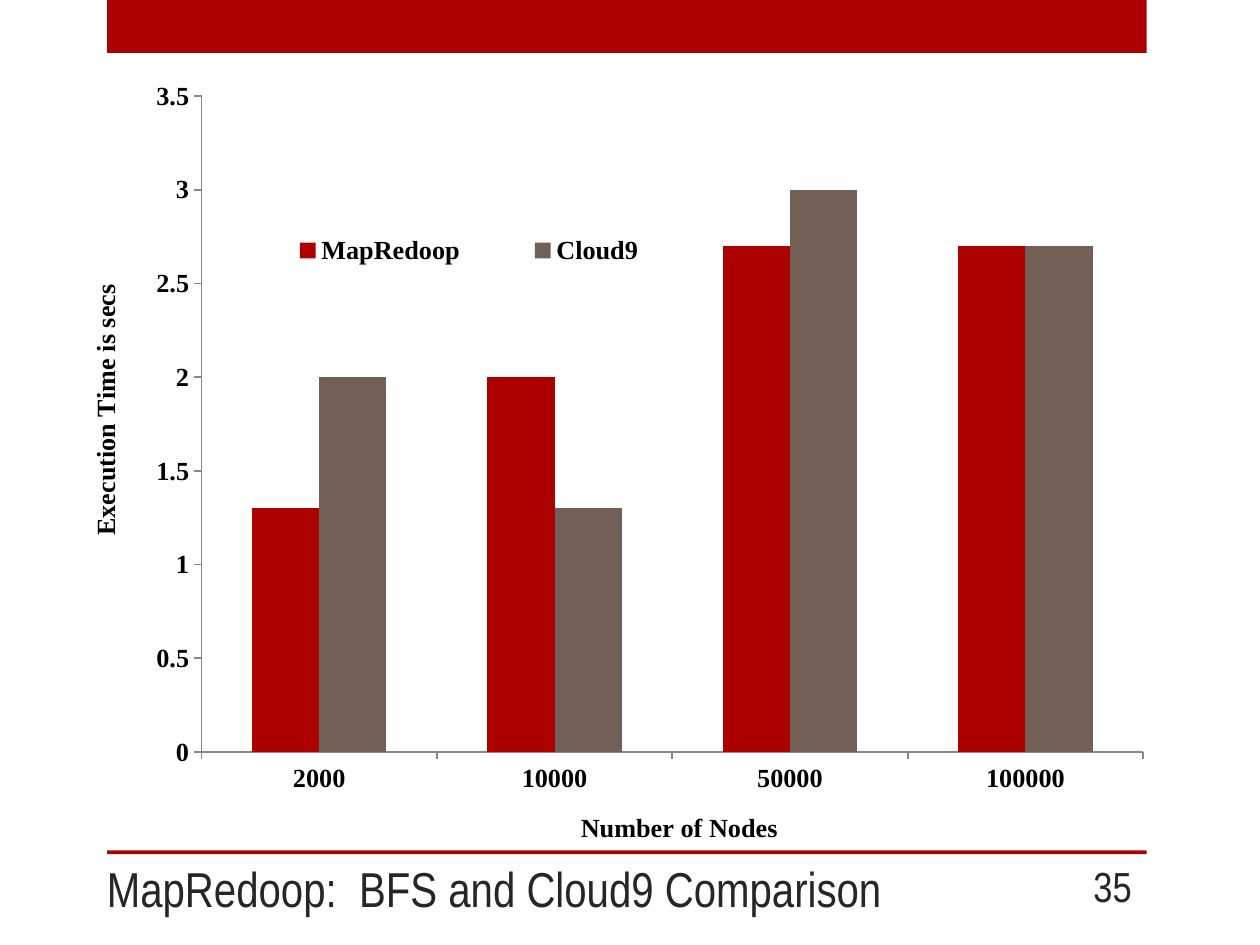
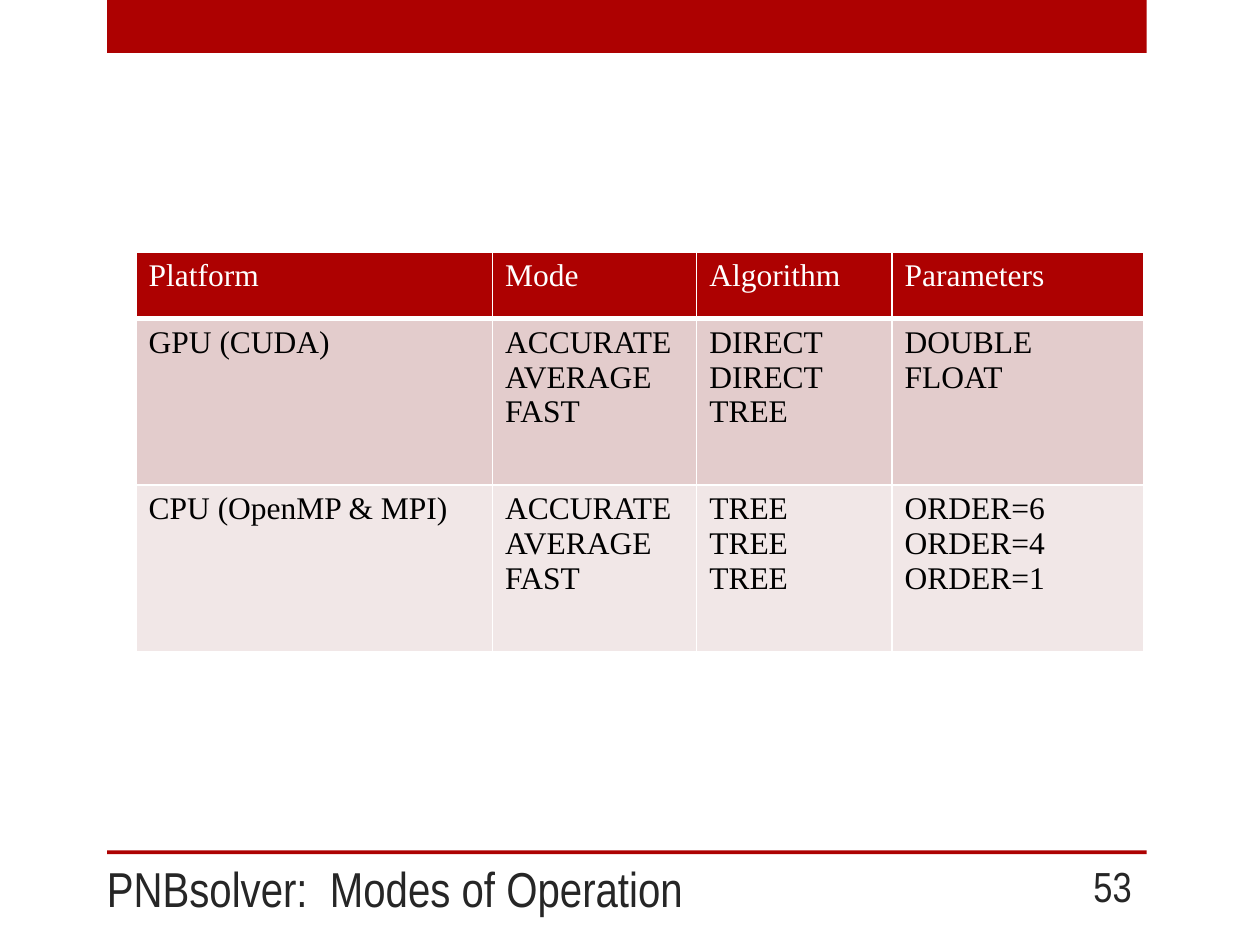
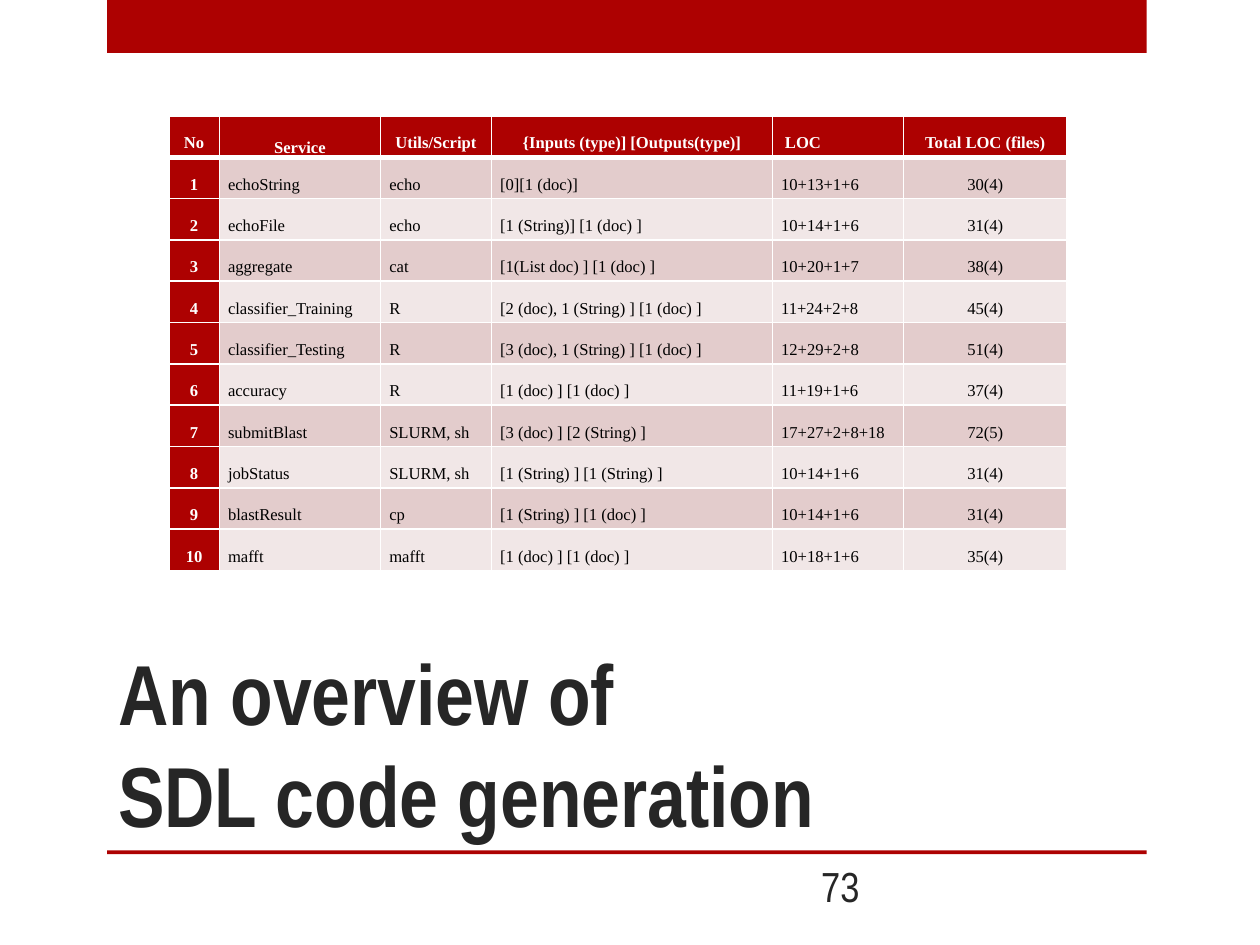
from dataclasses import dataclass
from typing import Any, NamedTuple

from lxml.etree import SubElement
from pptx import Presentation
from pptx.chart.data import CategoryChartData as ChartData
from pptx.dml.color import RGBColor as Rgb
from pptx.enum.chart import XL_CHART_TYPE as Kind
from pptx.enum.chart import XL_LEGEND_POSITION as Spot
from pptx.enum.chart import XL_TICK_MARK as Tick
from pptx.enum.shapes import MSO_SHAPE as Form
from pptx.enum.text import MSO_ANCHOR as Anchor
from pptx.enum.text import PP_ALIGN as Align
from pptx.oxml import parse_xml
from pptx.oxml.ns import nsdecls, qn
from pptx.util import Inches, Pt


@dataclass(frozen=True)
class Theme:
    red: Rgb = Rgb(0xAD, 0x01, 0x01)
    brown: Rgb = Rgb(0x72, 0x60, 0x56)
    ink: Rgb = Rgb(0x26, 0x26, 0x26)
    black: Rgb = Rgb(0, 0, 0)
    white: Rgb = Rgb(255, 255, 255)
    gray: Rgb = Rgb(0x88, 0x88, 0x88)
    rose: Rgb = Rgb(0xE3, 0xCC, 0xCC)
    pale: Rgb = Rgb(0xF1, 0xE7, 0xE7)
    sans: str = "Arial Narrow"
    serif: str = "Times New Roman"
    title: float = 28
    large: float = 48.6
    page: float = 24
    chart: float = 15
    modes: float = 18
    code: float = 9.5


THEME = Theme()


class Box(NamedTuple):
    left: float
    top: float
    width: float
    height: float

    def emu(self) -> list[int]:
        return [Inches(side) for side in self]


class Label(NamedTuple):
    text: str
    box: Box
    size: float
    bold: bool = False
    align: Align = Align.LEFT
    anchor: Anchor = Anchor.BOTTOM


class Grid(NamedTuple):
    left: float
    top: float
    cols: list[float]
    rows: list[float]
    cells: list[list[str]]
    size: float
    pad: tuple[float, float] = (0.1, 0.05)
    space: float = 1
    aligns: tuple[Align, ...] = (Align.LEFT,) * 4
    key: bool = False  # first column styled and centred like the header


BANDS = [Box(0.85, 0, 8.25, 0.42), Box(0.85, 6.75, 8.25, 0.03)]

NODES = ["2000", "10000", "50000", "100000"]
TIMES = {
    "MapRedoop": ([1.3, 2, 2.7, 2.7], THEME.red),
    "Cloud9": ([2, 1.3, 3, 2.7], THEME.brown),
}

MODES = Grid(1.08, 2, [2.83, 1.62, 1.55, 2], [0.53, 1.32, 1.32], [
    ["Platform", "Mode", "Algorithm", "Parameters"],
    ["GPU (CUDA)", "ACCURATE\nAVERAGE\nFAST", "DIRECT\nDIRECT\nTREE",
     "DOUBLE\nFLOAT"],
    ["CPU (OpenMP & MPI)", "ACCURATE\nAVERAGE\nFAST", "TREE\nTREE\nTREE",
     "ORDER=6\nORDER=4\nORDER=1"],
], THEME.modes)

HEADS = ["No", "Service", "Utils/Script", "{Inputs (type)] [Outputs(type)]",
         "LOC", "Total LOC (files)"]
CALLS = [
    ["echoString", "echo", "[0][1 (doc)]", "10+13+1+6", "30(4)"],
    ["echoFile", "echo", "[1 (String)] [1 (doc) ]", "10+14+1+6", "31(4)"],
    ["aggregate", "cat", "[1(List doc) ] [1 (doc) ]", "10+20+1+7", "38(4)"],
    ["classifier_Training", "R", "[2 (doc), 1 (String) ] [1 (doc) ]",
     "11+24+2+8", "45(4)"],
    ["classifier_Testing", "R", "[3 (doc), 1 (String) ] [1 (doc) ]",
     "12+29+2+8", "51(4)"],
    ["accuracy", "R", "[1 (doc) ] [1 (doc) ]", "11+19+1+6", "37(4)"],
    ["submitBlast", "SLURM, sh", "[3 (doc) ] [2 (String) ]",
     "17+27+2+8+18", "72(5)"],
    ["jobStatus", "SLURM, sh", "[1 (String) ] [1 (String) ]",
     "10+14+1+6", "31(4)"],
    ["blastResult", "cp", "[1 (String) ] [1 (doc) ]", "10+14+1+6", "31(4)"],
    ["mafft", "mafft", "[1 (doc) ] [1 (doc) ]", "10+18+1+6", "35(4)"],
]
CODE = Grid(
    1.34, 0.92, [0.4, 1.28, 0.88, 2.23, 1.04, 1.3], [3.61 / 11] * 11,
    [HEADS] + [[str(num), *call] for num, call in enumerate(CALLS, 1)],
    THEME.code, (0.07, 0), 2,
    (Align.CENTER, *[Align.JUSTIFY] * 3, Align.LEFT, Align.CENTER), True,
)


def assign(item: Any, vals: dict[str, Any]) -> None:
    for name, val in vals.items():
        setattr(item, name, val)


def style(font: Any, face: str, size: float, color: Rgb, bold: bool) -> None:
    assign(font, {"name": face, "size": Pt(size), "bold": bold})
    font.color.rgb = color


def add_label(slide: Any, label: Label) -> None:
    frame = slide.shapes.add_textbox(*label.box.emu()).text_frame
    assign(frame, {"word_wrap": True, "vertical_anchor": label.anchor})
    para = frame.paragraphs[0]
    assign(para, {"text": label.text, "alignment": label.align})
    style(para.font, THEME.sans, label.size, THEME.ink, label.bold)


def add_page(deck: Any, title: Label, num: int, left: float = 8.25) -> Any:
    """Add a slide with its bands, title and page number."""
    slide = deck.slides.add_slide(deck.slide_layouts[6])
    for box in BANDS:
        band = slide.shapes.add_shape(Form.RECTANGLE, *box.emu())
        band.shadow.inherit = False
        band.fill.solid()
        band.fill.fore_color.rgb = THEME.red
        band.line.fill.background()
    add_label(slide, title)
    add_label(slide, Label(str(num), Box(left, 6.83, 0.83, 0.4), THEME.page,
                           align=Align.RIGHT, anchor=Anchor.MIDDLE))
    return slide


def add_edge(cell: Any, side: str, width: float) -> None:
    line = SubElement(cell._tc.get_or_add_tcPr(), qn(f"a:ln{side}"),
                      w=str(Pt(width)))
    fill = SubElement(line, qn("a:solidFill"))
    SubElement(fill, qn("a:srgbClr"), val=str(THEME.white))


def add_cell(cell: Any, grid: Grid, row: int, col: int) -> None:
    head = row == 0
    dark = head or (grid.key and col == 0)
    side, edge = (Inches(pad) for pad in grid.pad)
    assign(cell, {"text": grid.cells[row][col],
                  "margin_left": side, "margin_right": side,
                  "margin_top": edge, "margin_bottom": edge})
    for mark, width in {"L": 1, "R": 1, "T": 3 if row == 1 else 1,
                        "B": 3 if head else 1}.items():
        add_edge(cell, mark, width)
    cell.fill.solid()
    band = THEME.rose if row % 2 else THEME.pale
    cell.fill.fore_color.rgb = THEME.red if dark else band
    align = grid.aligns[col]
    if head and align == Align.JUSTIFY:
        align = Align.CENTER
    for para in cell.text_frame.paragraphs:
        assign(para, {"alignment": align, "line_spacing": grid.space})
        style(para.font, THEME.serif, grid.size,
              THEME.white if dark else THEME.black, dark and grid.key)


def add_grid(slide: Any, grid: Grid) -> Any:
    box = Box(grid.left, grid.top, sum(grid.cols), sum(grid.rows))
    table = slide.shapes.add_table(len(grid.rows), len(grid.cols),
                                   *box.emu()).table
    for col, width in zip(table.columns, grid.cols):
        col.width = Inches(width)
    for row, height in zip(table.rows, grid.rows):
        row.height = Inches(height)
    for row in range(len(grid.rows)):
        for col in range(len(grid.cols)):
            add_cell(table.cell(row, col), grid, row, col)
    return table


def make_layout(*sides: float, inner: bool = False) -> Any:
    """Build a manual chart layout from x, y and maybe width, height."""
    target = '<c:layoutTarget val="inner"/>' if inner else ""
    modes = "".join(f'<c:{k}Mode val="edge"/>' for k in "xy")
    spans = "".join(f'<c:{k} val="{val}"/>' for k, val in zip("xywh", sides))
    return parse_xml(f'<c:layout {nsdecls("c")}><c:manualLayout>{target}'
                     f"{modes}{spans}</c:manualLayout></c:layout>")


def drop_layout(part: Any) -> None:
    for old in part.findall(qn("c:layout")):
        part.remove(old)


def set_axis(axis: Any, title: str, left: float, top: float) -> None:
    assign(axis, {"has_major_gridlines": False, "has_title": True,
                  "major_tick_mark": Tick.OUTSIDE,
                  "minor_tick_mark": Tick.NONE})
    axis.format.line.color.rgb = THEME.gray
    axis.format.line.width = Pt(1)
    para = axis.axis_title.text_frame.paragraphs[0]
    para.text = title
    for font in (para.runs[0].font, axis.tick_labels.font):
        style(font, THEME.serif, THEME.chart, THEME.black, True)
    name = axis.axis_title._element
    drop_layout(name)
    name.find(qn("c:tx")).addnext(make_layout(left, top))


def add_times(slide: Any) -> None:
    data = ChartData()
    data.categories = NODES
    for name, (vals, _) in TIMES.items():
        data.add_series(name, vals)
    chart = slide.shapes.add_chart(Kind.COLUMN_CLUSTERED,
                                   *Box(0.58, 0.58, 8.5, 6.17).emu(),
                                   data).chart
    assign(chart, {"has_title": False, "has_legend": True})
    style(chart.font, THEME.serif, THEME.chart, THEME.black, True)
    plot = chart.plots[0]
    assign(plot, {"gap_width": 150, "overlap": 0,
                  "vary_by_categories": False})
    for series, (_, color) in zip(plot.series, TIMES.values()):
        series.invert_if_negative = False
        series.format.fill.solid()
        series.format.fill.fore_color.rgb = color
    set_axis(chart.category_axis, "Number of Nodes", 0.47, 0.95)
    set_axis(chart.value_axis, "Execution Time is secs", 0.01, 0.27)
    assign(chart.value_axis, {"minimum_scale": 0, "maximum_scale": 3.5,
                              "major_unit": 0.5})

    legend = chart.legend
    assign(legend, {"position": Spot.RIGHT, "include_in_layout": False})
    style(legend.font, THEME.serif, THEME.chart, THEME.black, True)
    key = legend._element
    drop_layout(key)
    key.find(qn("c:legendPos")).addnext(make_layout(0.15, 0.2, 0.44, 0.06))
    area = chart._chartSpace.chart.plotArea
    drop_layout(area)
    area.insert(0, make_layout(0.12, 0.03, 0.88, 0.85, inner=True))


def main() -> None:
    deck = Presentation()
    assign(deck, {"slide_width": Inches(10), "slide_height": Inches(7.5)})
    low = Box(0.75, 6.75, 7.42, 0.58)

    times = Label("MapRedoop:  BFS and Cloud9 Comparison", low, THEME.title)
    add_times(add_page(deck, times, 35))

    modes = Label("PNBsolver:  Modes of Operation", low, THEME.title)
    add_grid(add_page(deck, modes, 53), MODES)

    code = Label("An overview of \vSDL code generation",
                 Box(0.84, 5, 7.42, 1.75), THEME.large, bold=True)
    table = add_grid(add_page(deck, code, 73, 6.09), CODE)
    table.cell(0, HEADS.index("Service")).vertical_anchor = Anchor.BOTTOM
    table.cell(0, HEADS.index("LOC")).margin_left = Inches(0.1)

    deck.save("out.pptx")


if __name__ == "__main__":
    main()
